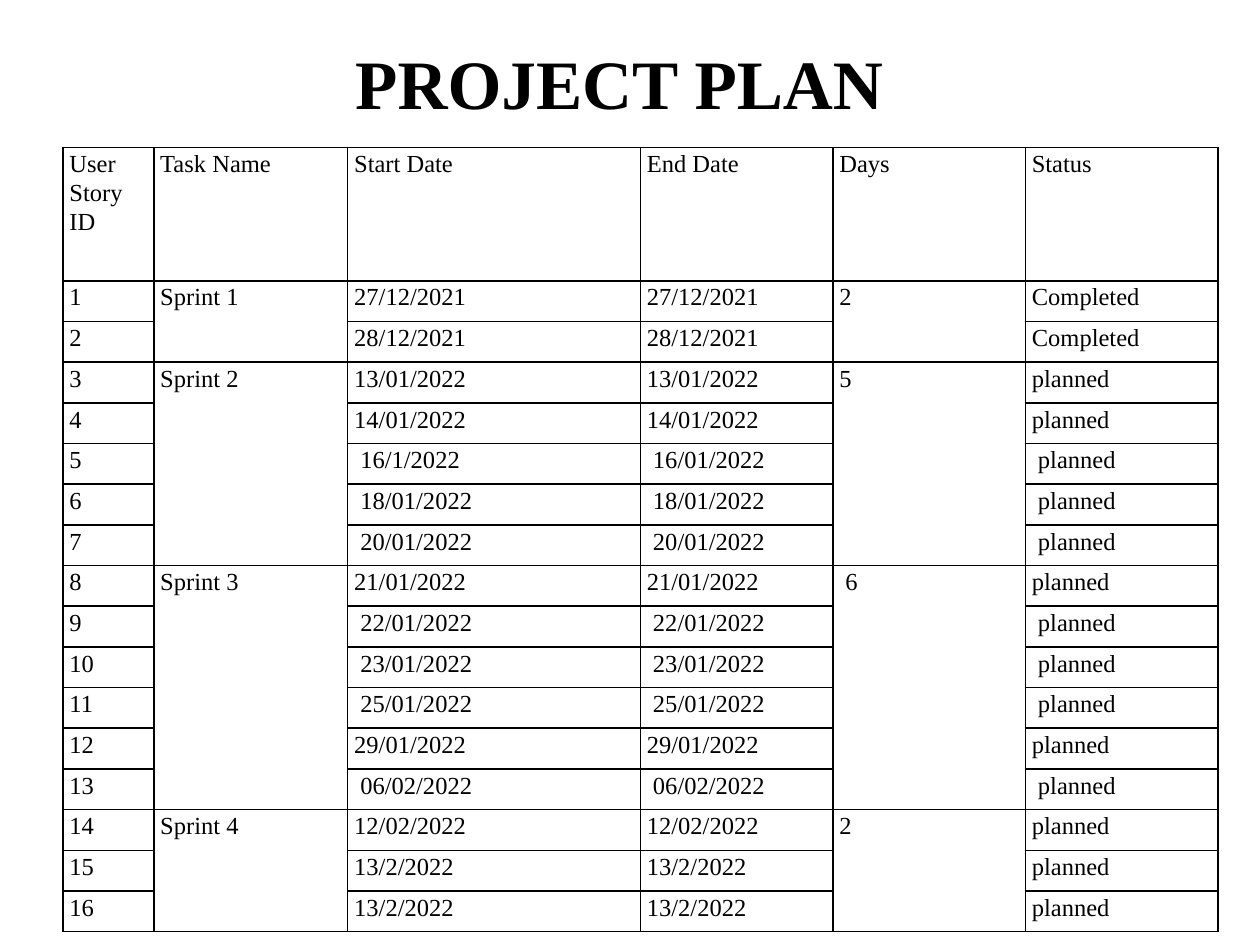
from dataclasses import dataclass

from lxml import etree
from pptx import Presentation
from pptx.dml.color import RGBColor
from pptx.enum.text import MSO_ANCHOR, PP_ALIGN
from pptx.oxml.ns import qn
from pptx.util import Cm, Pt

CENTER, LEFT = PP_ALIGN.CENTER, PP_ALIGN.LEFT
MIDDLE, TOP = MSO_ANCHOR.MIDDLE, MSO_ANCHOR.TOP


@dataclass(frozen=True)
class Theme:
    font: str = "Times New Roman"
    ink: str = "000000"
    title_size: float = 39.6
    cell_size: float = 14
    border: float = 1


THEME = Theme()
NB = "\u00a0"  # several entries start with a non-breaking space

HEADERS = ["User Story ID", "Task Name", "Start Date", "End Date", "Days", "Status"]
COL_WIDTHS = [1.83, 3.91, 5.9, 3.88, 3.88, 3.88]
HEADER_HEIGHT, ROW_HEIGHT = 2.69, 0.82
TASK_COL, DAYS_COL = 1, 4

# Sprint name, days, then start, end and status of each story
SPRINTS = [
    ("Sprint 1", "2", [
        ("27/12/2021", "27/12/2021", "Completed"),
        ("28/12/2021", "28/12/2021", "Completed"),
    ]),
    ("Sprint 2", "5", [
        ("13/01/2022", "13/01/2022", "planned"),
        ("14/01/2022", "14/01/2022", "planned"),
        (NB + "16/1/2022", NB + "16/01/2022", NB + "planned"),
        (NB + "18/01/2022", NB + "18/01/2022", NB + "planned"),
        (NB + "20/01/2022", NB + "20/01/2022", NB + "planned"),
    ]),
    ("Sprint 3", NB + "6", [
        ("21/01/2022", "21/01/2022", "planned"),
        (NB + "22/01/2022", NB + "22/01/2022", NB + "planned"),
        (NB + "23/01/2022", NB + "23/01/2022", NB + "planned"),
        (NB + "25/01/2022", NB + "25/01/2022", NB + "planned"),
        ("29/01/2022", "29/01/2022", "planned"),
        (NB + "06/02/2022", NB + "06/02/2022", NB + "planned"),
    ]),
    ("Sprint 4", "2", [
        ("12/02/2022", "12/02/2022", "planned"),
        ("13/2/2022", "13/2/2022", "planned"),
        ("13/2/2022", "13/2/2022", "planned"),
    ]),
]


def set_all(target, values):
    for name, value in values.items():
        setattr(target, name, value)


def write(tf, text, size, bold=False, **paragraph_format):
    p = tf.paragraphs[0]
    set_all(p, paragraph_format)
    r = p.add_run()
    r.text = text
    set_all(r.font, {"name": THEME.font, "size": Pt(size), "bold": bold})
    r.font.color.rgb = RGBColor.from_string(THEME.ink)


def add_title(s, text):
    sp = s.shapes.add_textbox(Cm(1.27), Cm(0.76), Cm(22.43), Cm(1.78))
    set_all(sp.text_frame, {"word_wrap": True, "vertical_anchor": MIDDLE})
    write(sp.text_frame, text, THEME.title_size, bold=True, alignment=CENTER)


def style_cell(cell):
    set_all(cell, {"margin_left": Cm(0.13), "margin_right": Cm(0.13),
                   "margin_top": Cm(0.03), "margin_bottom": 0,
                   "vertical_anchor": TOP})
    # Borders come before the fill in the cell properties
    tc_pr = cell._tc.get_or_add_tcPr()
    for side in ("lnL", "lnR", "lnT", "lnB"):
        ln = etree.SubElement(tc_pr, qn("a:" + side), w=str(Pt(THEME.border)))
        fill = etree.SubElement(ln, qn("a:solidFill"))
        etree.SubElement(fill, qn("a:srgbClr"), val=THEME.ink)
    cell.fill.background()


def write_cell(cell, text):
    write(cell.text_frame, text, THEME.cell_size, alignment=LEFT,
          line_spacing=1.07, space_after=Pt(8))


def add_plan_table(s):
    story_count = sum(len(stories) for _, _, stories in SPRINTS)
    heights = [HEADER_HEIGHT] + [ROW_HEIGHT] * story_count
    frame = s.shapes.add_table(len(heights), len(HEADERS), Cm(1.27), Cm(2.97),
                               Cm(sum(COL_WIDTHS)), Cm(sum(heights)))
    table = frame.table
    set_all(table, {"first_row": False, "horz_banding": False})
    for column, width in zip(table.columns, COL_WIDTHS):
        column.width = Cm(width)
    for row, height in zip(table.rows, heights):
        row.height = Cm(height)
    for cell in table.iter_cells():
        style_cell(cell)

    # Header row
    for col, text in enumerate(HEADERS):
        write_cell(table.cell(0, col), text)

    # One block of rows per sprint, with task and days merged
    first = 1
    for task, days, stories in SPRINTS:
        last = first + len(stories) - 1
        for col, text in ((TASK_COL, task), (DAYS_COL, days)):
            table.cell(first, col).merge(table.cell(last, col))
            write_cell(table.cell(first, col), text)
        for row, (start, end, status) in enumerate(stories, first):
            for col, text in ((0, str(row)), (2, start), (3, end), (5, status)):
                write_cell(table.cell(row, col), text)
        first = last + 1


def main():
    prs = Presentation()
    set_all(prs, {"slide_width": Cm(25.4), "slide_height": Cm(19.05)})
    s = prs.slides.add_slide(prs.slide_layouts[6])
    add_title(s, "PROJECT PLAN")
    add_plan_table(s)
    prs.save("out.pptx")


main()
